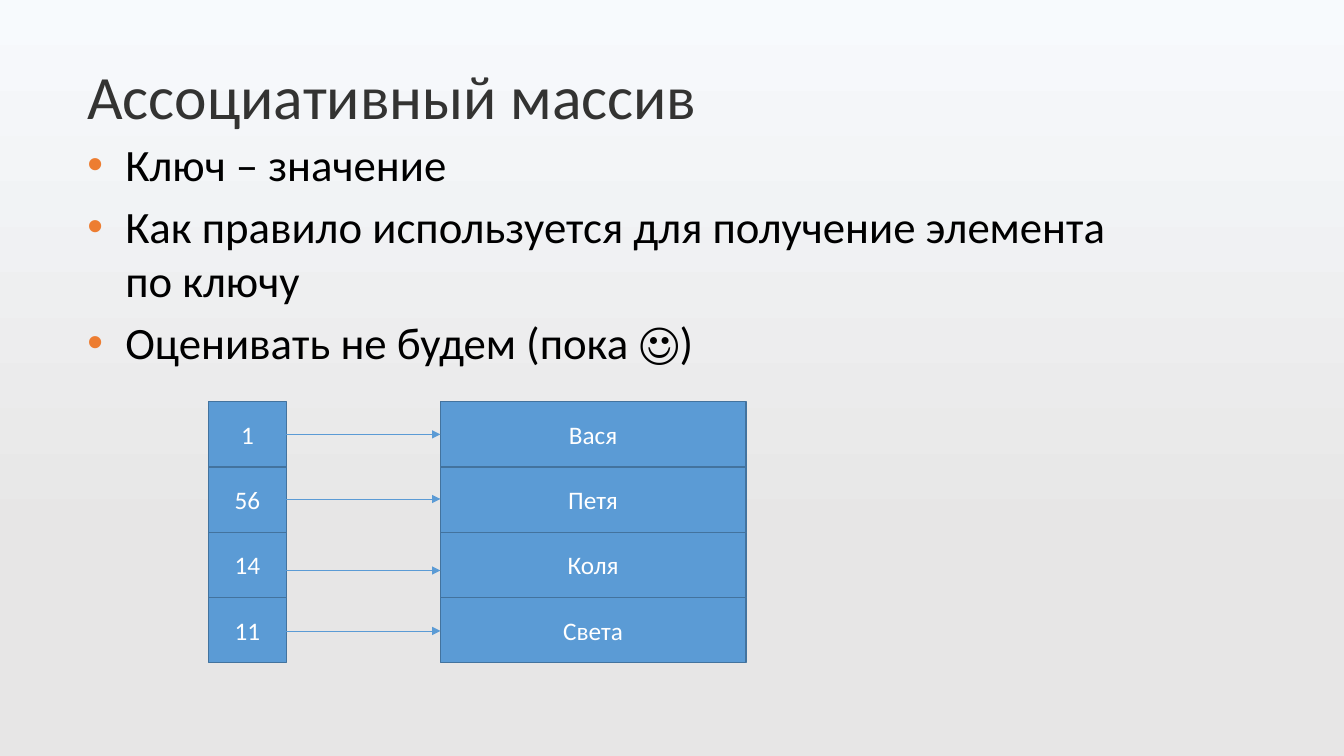
from lxml import etree
from pptx import Presentation
from pptx import util as u
from pptx.dml.color import RGBColor
from pptx.enum import shapes, text
from pptx.oxml import ns

COLORS = {
    "sky": "F7FAFD", "gray": "E7E6E6", "title": "333332", "body": "000000",
    "bullet": "ED7D31", "cell": "5B9BD5", "border": "43739E", "label": "FFFFFF",
}
ENTRIES = [("1", "Вася", 310.3), ("56", "Петя", 356.4),
           ("14", "Коля", 407.5), ("11", "Света", 450.7)]
STATEMENTS = ["Ключ – значение",
              "Как правило используется для получение элемента по ключу",
              "Оценивать не будем (пока ☺)"]
KEY_LEFT, KEY_WIDTH = 149, 55.5
VALUE_LEFT, VALUE_WIDTH = 314.6, 218.2
ROW_TOP, ROW_HEIGHT = 287, 46.6


def color(name):
    return RGBColor.from_string(COLORS[name])


def add_child(parent, tag, **attributes):
    return etree.SubElement(parent, ns.qn(tag), attributes)


def write(paragraph, content, size, ink, align=None, line_spacing=None, space_after=None):
    paragraph.alignment = align
    paragraph.line_spacing = line_spacing
    if space_after is not None:
        paragraph.space_after = u.Pt(space_after)
    run = paragraph.add_run()
    run.text = content
    run.font.name = "Calibri"
    run.font.size = u.Pt(size)
    run.font.color.rgb = color(ink)


def add_bullet(paragraph, indent):
    properties = paragraph._p.get_or_add_pPr()
    properties.set("marL", str(u.Pt(indent)))
    properties.set("indent", str(-u.Pt(indent)))
    bullet_color = add_child(properties, "a:buClr")
    add_child(bullet_color, "a:srgbClr", val=COLORS["bullet"])
    add_child(properties, "a:buFont", typeface="Arial")
    add_child(properties, "a:buChar", char="•")


def add_text_frame(slide, left, top, width, height):
    box = slide.shapes.add_textbox(u.Pt(left), u.Pt(top), u.Pt(width), u.Pt(height))
    box.text_frame.word_wrap = True
    return box.text_frame


def add_title(slide, content):
    frame = add_text_frame(slide, 62.6, 47.5, 690.5, 42.5)
    frame.margin_left = frame.margin_right = frame.margin_top = frame.margin_bottom = 0
    write(frame.paragraphs[0], content, size=44, ink="title", line_spacing=0.9)


def add_statements(slide, statements):
    frame = add_text_frame(slide, 55.4, 94.3, 747.4, 174.2)
    frame.auto_size = text.MSO_AUTO_SIZE.SHAPE_TO_FIT_TEXT
    for index, statement in enumerate(statements):
        paragraph = frame.add_paragraph() if index else frame.paragraphs[0]
        write(paragraph, statement, size=32, ink="body", space_after=6)
        add_bullet(paragraph, 27)


def add_cell(slide, content, left, top, width):
    cell = slide.shapes.add_shape(shapes.MSO_SHAPE.RECTANGLE, u.Pt(left), u.Pt(top),
                                  u.Pt(width), u.Pt(ROW_HEIGHT))
    cell.shadow.inherit = False
    cell.fill.solid()
    cell.fill.fore_color.rgb = color("cell")
    cell.line.color.rgb = color("border")
    cell.line.width = u.Pt(1)
    cell.text_frame.vertical_anchor = text.MSO_ANCHOR.MIDDLE
    write(cell.text_frame.paragraphs[0], content, size=18, ink="label",
          align=text.PP_ALIGN.CENTER)


def add_arrow(slide, start, end, height):
    arrow = slide.shapes.add_connector(shapes.MSO_CONNECTOR.STRAIGHT, u.Pt(start),
                                       u.Pt(height), u.Pt(end), u.Pt(height))
    arrow.line.color.rgb = color("cell")
    arrow.line.width = u.Pt(0.5)
    add_child(arrow.line._get_or_add_ln(), "a:tailEnd", type="triangle")
    add_child(arrow._element.spPr, "a:effectLst")


def add_background(slide):
    fill = slide.background.fill
    fill.gradient()
    fill.gradient_angle = 270
    for stop, name, position in zip(fill.gradient_stops, ("sky", "gray"), (0, 0.72)):
        stop.color.rgb = color(name)
        stop.position = position


def main():
    presentation = Presentation()
    presentation.slide_width, presentation.slide_height = u.Pt(960), u.Pt(540)
    slide = presentation.slides.add_slide(presentation.slide_layouts[6])
    add_background(slide)
    add_title(slide, "Ассоциативный массив")
    for row, (key, value, arrow_height) in enumerate(ENTRIES):
        top = ROW_TOP + row * ROW_HEIGHT
        add_cell(slide, key, KEY_LEFT, top, KEY_WIDTH)
        add_cell(slide, value, VALUE_LEFT, top, VALUE_WIDTH)
        add_arrow(slide, KEY_LEFT + KEY_WIDTH, VALUE_LEFT, arrow_height)
    add_statements(slide, STATEMENTS)
    presentation.save("out.pptx")


main()
